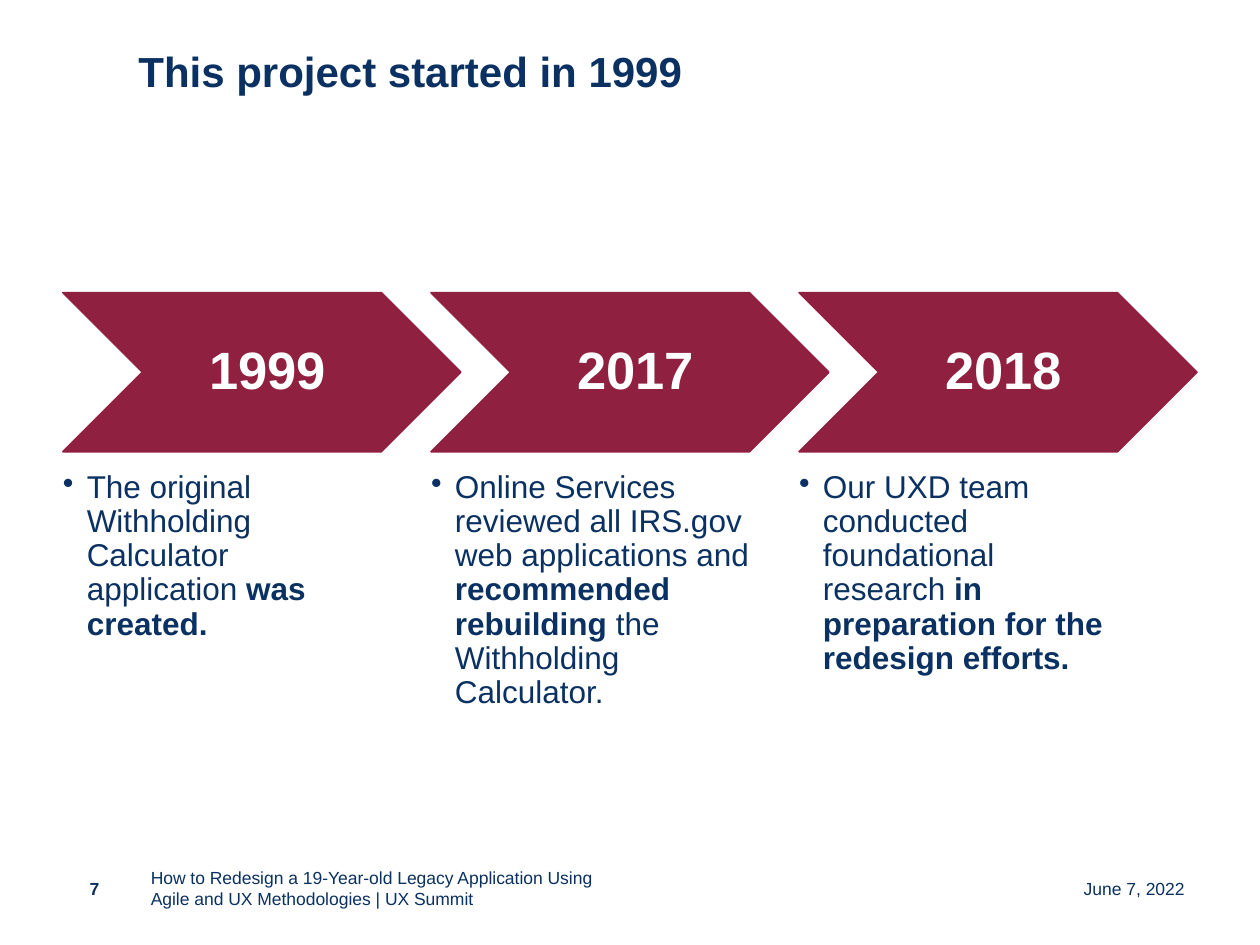
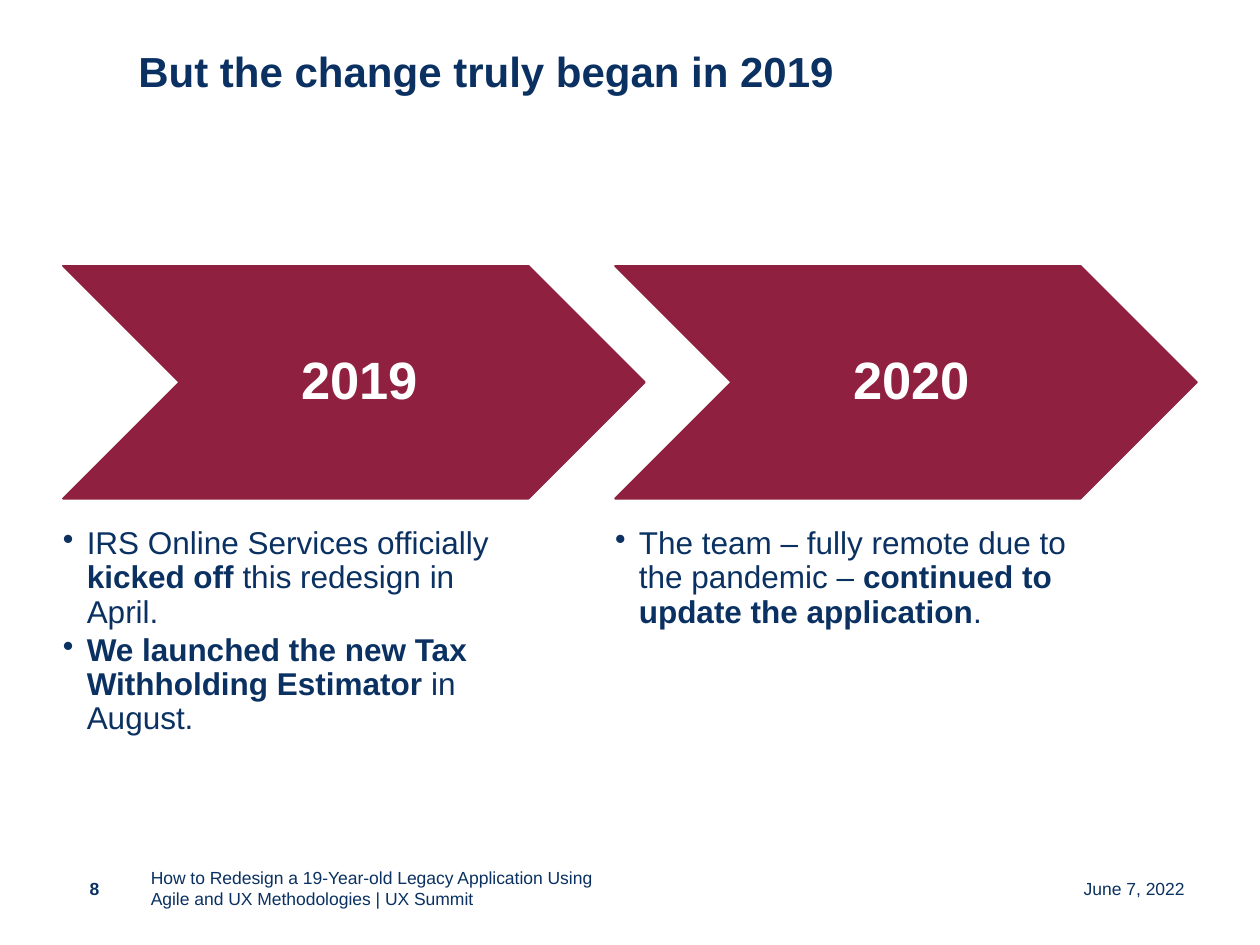
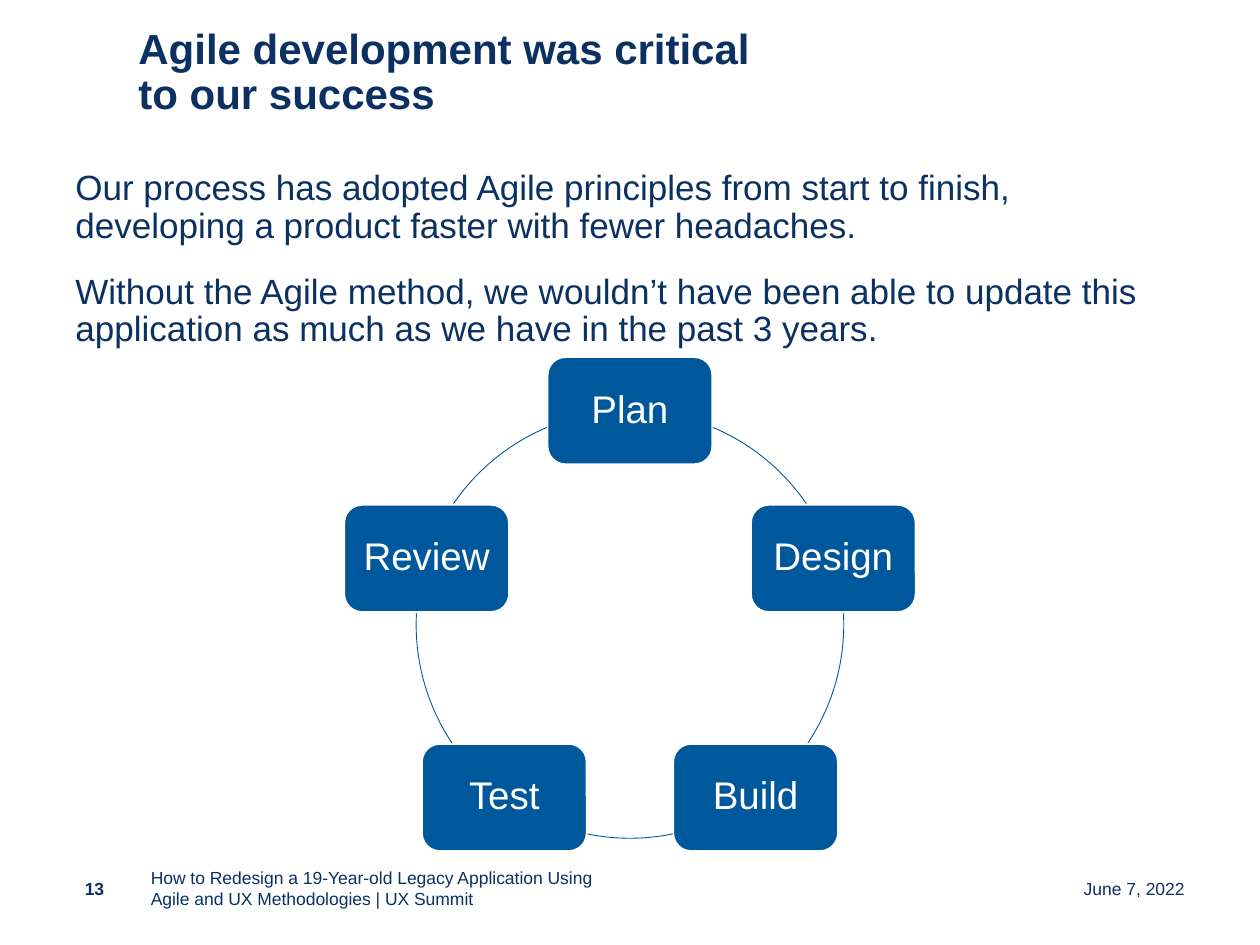
import math

import pptx
import pptx.dml.color
import pptx.enum.shapes
import pptx.enum.text
import pptx.oxml
import pptx.util
from pptx.util import Cm, Pt

RGBColor = pptx.dml.color.RGBColor
SHAPE = pptx.enum.shapes.MSO_SHAPE
ALIGN = pptx.enum.text.PP_ALIGN
ANCHOR = pptx.enum.text.MSO_ANCHOR
AUTO_SIZE = pptx.enum.text.MSO_AUTO_SIZE

NAVY = RGBColor(0x0A, 0x31, 0x61)
CRIMSON = RGBColor(0x8F, 0x20, 0x40)
BLUE = RGBColor(0x00, 0x58, 0x9C)
WHITE = RGBColor(0xFF, 0xFF, 0xFF)
FONT = "Arial"

# Text between double asterisks is bold.
TIMELINES = [
    {
        "number": 7,
        "title": "This project started in 1999",
        "text_height": 4.65,
        "steps": [
            ("1999", ["The original Withholding Calculator application **was created.**"]),
            ("2017", ["Online Services reviewed all IRS.gov web applications and "
                      "**recommended rebuilding **the Withholding Calculator."]),
            ("2018", ["Our UXD team conducted foundational research "
                      "**in preparation for the redesign efforts.**"]),
        ],
    },
    {
        "number": 8,
        "title": "But the change truly began in 2019",
        "text_height": 4.06,
        "steps": [
            ("2019", ["IRS Online Services officially **kicked off** this redesign in April.",
                      "**We launched the new Tax Withholding Estimator **in August."]),
            ("2020", ["The team – fully remote due to the pandemic – "
                      "**continued to update the application**."]),
        ],
    },
]
AGILE = {
    "number": 13,
    "title": "Agile development was critical \vto our success",
    "body": [
        "Our process has adopted Agile principles from start to finish, "
        "developing a product faster with fewer headaches.",
        "Without the Agile method, we wouldn’t have been able to update this "
        "application as much as we have in the past 3 years.",
    ],
    "stages": ["Plan", "Design", "Build", "Test", "Review"],
    # Start and end of each link, in degrees clockwise from the right
    "links": [(292.9, 325.6), (357, 33.7), (78.4, 101.6), (146.3, 183), (214.4, 247.1)],
}
FOOTER = ("How to Redesign a 19-Year-old Legacy Application Using "
          "Agile and UX Methodologies | UX Summit")
DATE = "June 7, 2022"

# Lengths in centimetres
MARGIN, CONTENT_WIDTH = 1.27, 22.86
TITLE_BOX = (2.54, 0.53, 15.24, 1.9)
BODY_BOX = (MARGIN, 3.3, CONTENT_WIDTH, 13.46)
FOOTER_TOP, FOOTER_HEIGHT = 17.4, 1.02
TIMELINE_MIDDLE, CHEVRON_OVERLAP = 10.03, 0.6
CYCLE_X, CYCLE_Y, CYCLE_RADIUS = 12.7, 12.59, 4.31
NODE_WIDTH, NODE_HEIGHT = 3.32, 2.16


def set_all(obj, values):
    for name, value in values.items():
        setattr(obj, name, value)


def place(sp, box):
    set_all(sp, dict(zip(("left", "top", "width", "height"), map(Cm, box))))


def set_bullet(p, char=None, indent=0):
    """Give the paragraph a hanging bullet, or none when char is missing."""
    pPr = p._p.get_or_add_pPr()
    pPr.set("marL", str(Cm(indent)))
    pPr.set("indent", str(-Cm(indent)))
    tag = f'buChar char="{char}"' if char else "buNone"
    ns = "http://schemas.openxmlformats.org/drawingml/2006/main"
    pPr.append(pptx.oxml.parse_xml(f'<a:{tag} xmlns:a="{ns}"/>'.replace("<a:" + tag, "<a:" + tag)))


def write(p, text, size, color=NAVY, bold=False, **paragraph_format):
    """Fill a paragraph, making the parts between ** bold."""
    set_all(p, {"alignment": ALIGN.LEFT, "space_before": Pt(0), **paragraph_format})
    for i, part in enumerate(text.split("**")):
        if part:
            r = p.add_run()
            r.text = part
            set_all(r.font, {"name": FONT, "size": Pt(size), "bold": bold or i % 2 == 1})
            r.font.color.rgb = color


def set_frame(tf, anchor=ANCHOR.TOP, insets=(0.25, 0.13, 0.25, 0.13)):
    set_all(tf, {"word_wrap": True, "auto_size": AUTO_SIZE.NONE, "vertical_anchor": anchor})
    sides = ("margin_left", "margin_top", "margin_right", "margin_bottom")
    set_all(tf, dict(zip(sides, map(Cm, insets))))
    return tf


def add_text_box(slide, box, **frame):
    return set_frame(slide.shapes.add_textbox(*map(Cm, box)).text_frame, **frame)


def add_preset(slide, kind, box, fill, line, line_width):
    sp = slide.shapes.add_shape(kind, *map(Cm, box))
    sp.shadow.inherit = False
    if fill is None:
        sp.fill.background()
    else:
        sp.fill.solid()
        sp.fill.fore_color.rgb = fill
    sp.line.color.rgb = line
    sp.line.width = Pt(line_width)
    return sp


def add_label(sp, text, size, insets, bold=False):
    tf = set_frame(sp.text_frame, ANCHOR.MIDDLE, insets)
    write(tf.paragraphs[0], text, size, WHITE, bold, alignment=ALIGN.CENTER, line_spacing=0.9)


def add_slide(prs, layout, content):
    """Add a slide with its title and footer."""
    slide = prs.slides.add_slide(prs.slide_layouts[layout])
    title = slide.shapes.title
    place(title, TITLE_BOX)
    p = set_frame(title.text_frame, ANCHOR.MIDDLE).paragraphs[0]
    write(p, content["title"].split("\v")[0], 24, bold=True, line_spacing=0.9)
    for line in content["title"].split("\v")[1:]:
        p.add_line_break()
        write(p, line, 24, bold=True, line_spacing=0.9)
    for left, width, text, alignment, bold in (
        (MARGIN, 1.27, str(content["number"]), ALIGN.CENTER, True),
        (2.79, 10.16, FOOTER, ALIGN.LEFT, False),
        (18.59, 5.54, DATE, ALIGN.RIGHT, False),
    ):
        tf = add_text_box(slide, (left, FOOTER_TOP, width, FOOTER_HEIGHT), anchor=ANCHOR.MIDDLE)
        write(tf.paragraphs[0], text, 10, bold=bold, alignment=alignment)
    return slide


def add_timeline_slide(prs, content):
    slide = add_slide(prs, 5, content)
    steps, text_height = content["steps"], content["text_height"]
    width = (CONTENT_WIDTH + (len(steps) - 1) * CHEVRON_OVERLAP) / len(steps)
    height, gap = 0.4 * width, 0.05 * width
    top = TIMELINE_MIDDLE - (height + gap + text_height) / 2
    for i, (year, bullets) in enumerate(steps):
        left = MARGIN + i * (width - CHEVRON_OVERLAP)
        chevron = add_preset(slide, SHAPE.CHEVRON, (left, top, width, height), CRIMSON, CRIMSON, 1)
        add_label(chevron, year, 30, (0.33, 0.1, 0.1, 0.1), bold=True)
        box = (left, top + height + gap, 0.8 * width, text_height)
        tf = add_text_box(slide, box, insets=(0, 0, 0, 0))
        for j, bullet in enumerate(bullets):
            p = tf.add_paragraph() if j else tf.paragraphs[0]
            set_bullet(p, "•", 0.48)
            write(p, bullet, 18, line_spacing=0.9, space_after=Pt(2.7))


def add_cycle_slide(prs, content):
    slide = add_slide(prs, 1, content)
    body = slide.placeholders[1]
    place(body, BODY_BOX)
    tf = set_frame(body.text_frame)
    for i, text in enumerate(content["body"]):
        p = tf.add_paragraph() if i else tf.paragraphs[0]
        set_bullet(p)
        write(p, text, 20, line_spacing=0.9, space_before=Pt(10 if i else 0), space_after=Pt(6))

    circle = (CYCLE_X - CYCLE_RADIUS, CYCLE_Y - CYCLE_RADIUS, 2 * CYCLE_RADIUS, 2 * CYCLE_RADIUS)
    stages = content["stages"]
    for i, (stage, link) in enumerate(zip(stages, content["links"])):
        angle = math.radians(360 * i / len(stages) - 90)
        left = CYCLE_X + CYCLE_RADIUS * math.cos(angle) - NODE_WIDTH / 2
        top = CYCLE_Y + CYCLE_RADIUS * math.sin(angle) - NODE_HEIGHT / 2
        node = add_preset(slide, SHAPE.ROUNDED_RECTANGLE, (left, top, NODE_WIDTH, NODE_HEIGHT),
                          BLUE, WHITE, 1)
        add_label(node, stage, 22, (0.23, 0.23, 0.23, 0.23))
        arc = add_preset(slide, SHAPE.ARC, circle, None, BLUE, 0.5)
        for k, degrees in enumerate(link):
            arc.adjustments[k] = degrees * 0.6  # 60000 units a degree, scaled by 100000


def main():
    prs = pptx.Presentation()
    set_all(prs, {"slide_width": Cm(25.4), "slide_height": Cm(19.05)})
    for content in TIMELINES:
        add_timeline_slide(prs, content)
    add_cycle_slide(prs, AGILE)
    prs.save("out.pptx")


if __name__ == "__main__":
    main()
